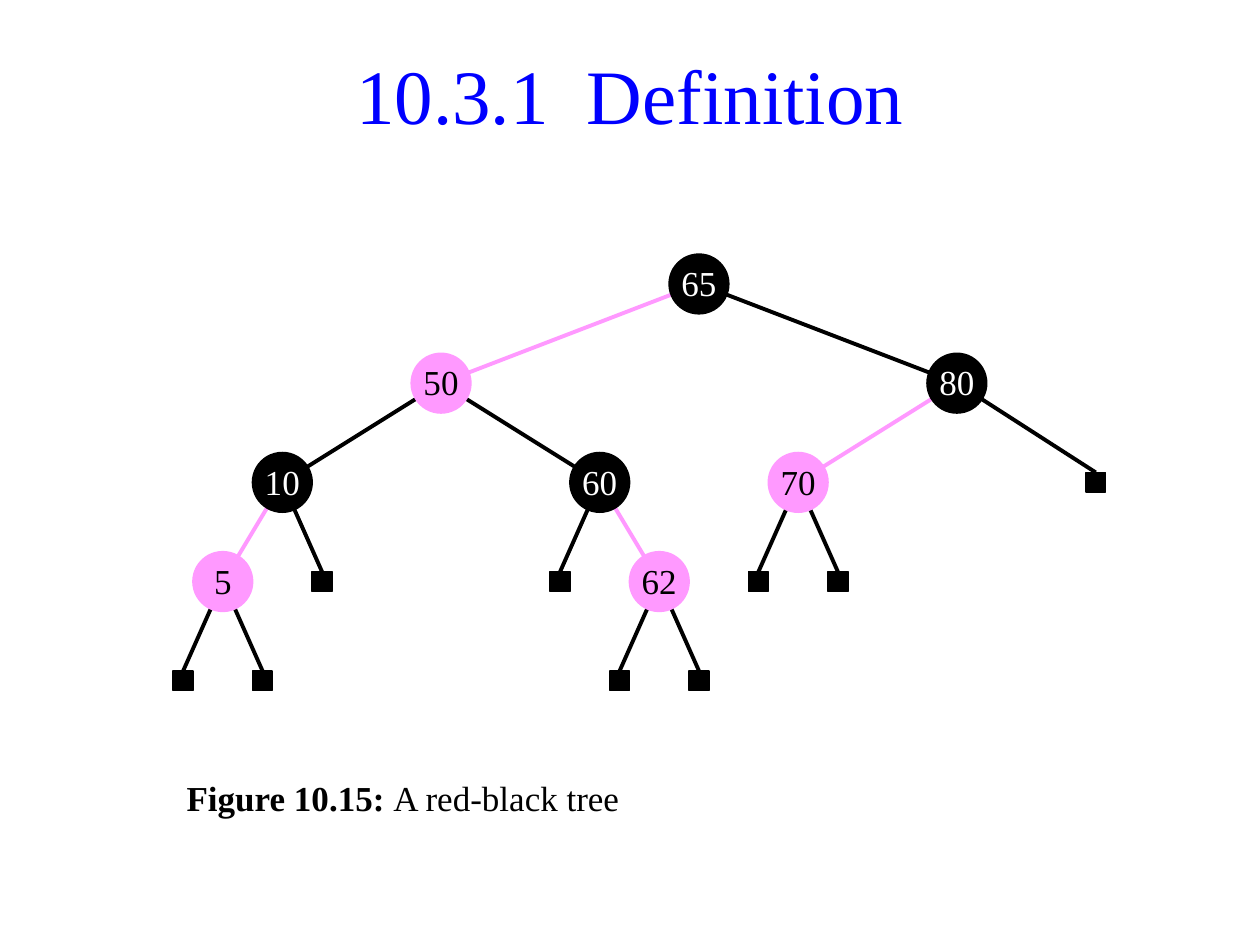
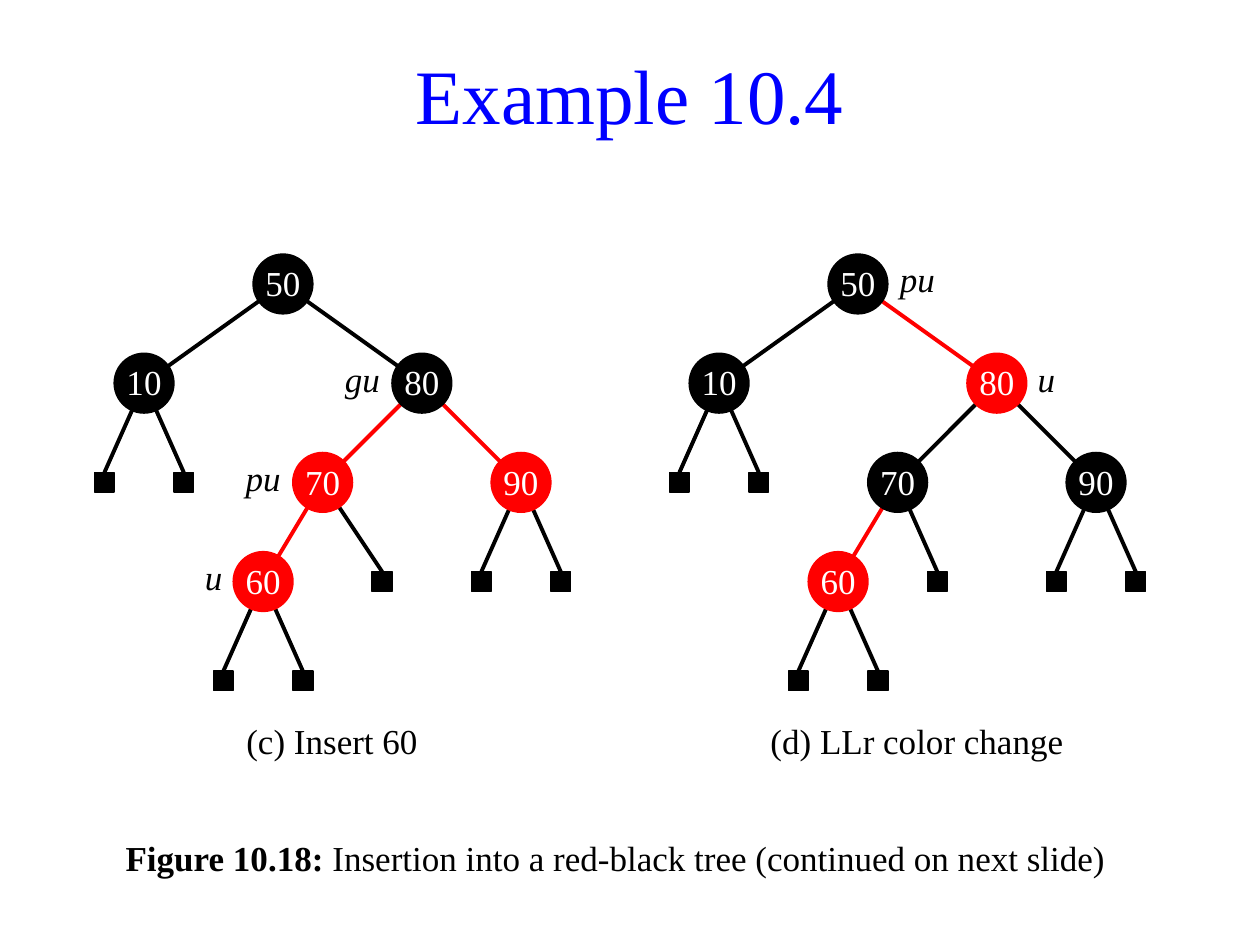
"""Build two slides of red-black trees from nested node data."""
from lxml import etree
from pptx import Presentation
from pptx.dml.color import RGBColor
from pptx.enum.shapes import MSO_CONNECTOR, MSO_SHAPE
from pptx.enum.text import MSO_ANCHOR, MSO_AUTO_SIZE, PP_ALIGN
from pptx.oxml.ns import qn
from pptx.util import Inches, Pt

LINE, OVAL, SQUARE = MSO_CONNECTOR.STRAIGHT, MSO_SHAPE.OVAL, MSO_SHAPE.RECTANGLE
MIDDLE, BOTTOM, CENTER = MSO_ANCHOR.MIDDLE, MSO_ANCHOR.BOTTOM, PP_ALIGN.CENTER
NO_FIT = MSO_AUTO_SIZE.NONE

COLORS = {"title": "0000FF", "black": "000000", "white": "FFFFFF",
          "pink": "FF99FF", "red": "FF0000"}
KEY_COLORS = {"black": "white", "red": "white", "pink": "black"}
FONT = "Times New Roman"
TITLE_SIZE, TEXT_SIZE = 44, 20
EDGE_WIDTH, OUTLINE_WIDTH = 2.25, 1

PIXEL = Inches(1) / 126
TITLE_BOX = (54, 35, 1152, 118)
ROOT_Y = 284
COLUMN = 19.84
ROW = 5 * COLUMN
NODE, LEAF = 3 * COLUMN, COLUMN


def node(key, color, left=None, right=None, spread=(2, 2), label=None):
    """Describe a node; spread counts columns to its left and right child."""
    return {"key": key, "color": color, "label": label,
            "branches": [(-spread[0], left), (spread[1], right)]}


DEFINITION_TREE = node(
    "65", "black",
    node("50", "pink",
         node("10", "black", node("5", "pink"), spread=(3, 2)),
         node("60", "black", None, node("62", "pink"), spread=(2, 3)),
         spread=(8, 8)),
    node("80", "black", node("70", "pink"), spread=(8, 7)),
    spread=(13, 13))

INSERT_TREE = node(
    "50", "black",
    node("10", "black"),
    node("80", "black",
         node("70", "red", node("60", "red", label=("u", "left", 2)),
              spread=(3, 3), label=("pu", "left", 3)),
         node("90", "red"),
         spread=(5, 5), label=("gu", "left", 3)),
    spread=(7, 7))

COLOR_CHANGE_TREE = node(
    "50", "black",
    node("10", "black"),
    node("80", "red",
         node("70", "black", node("60", "red"), spread=(3, 2)),
         node("90", "black"),
         spread=(5, 5), label=("u", "right", 2)),
    spread=(7, 7), label=("pu", "right", 3))

SLIDES = [
    {"title": "10.3.1  Definition",
     "caption": ("Figure 10.15: ", "A red-black tree"),
     "caption_box": (174, 770, 476, 59),
     "trees": [(699, DEFINITION_TREE)],
     "steps": []},
    {"title": "Example 10.4",
     "caption": ("Figure 10.18: ",
                 "Insertion into a red-black tree (continued on next slide)"),
     "caption_box": (113, 830, 1032, 59),
     "trees": [(858, COLOR_CHANGE_TREE), (283, INSERT_TREE)],
     "steps": [("(c) Insert 60", (233, 711, 198, 59)),
               ("(d) LLr color change", (748, 711, 338, 59))]},
]


def emu(*lengths):
    return [round(length * PIXEL) for length in lengths]


def rgb(color):
    return RGBColor.from_string(COLORS[color])


def style(paragraph, color="black", size=TEXT_SIZE, align=CENTER):
    paragraph.alignment = align
    font = paragraph.font
    font.name, font.size = FONT, Pt(size)
    font.color.rgb = rgb(color)
    return font


def set_insets(frame, left, top, right, bottom):
    frame.margin_left, frame.margin_top = Inches(left), Inches(top)
    frame.margin_right, frame.margin_bottom = Inches(right), Inches(bottom)


def place(shape, box):
    shape.left, shape.top, shape.width, shape.height = emu(*box)


def add_mark(slide, kind, x, y, size, color):
    mark = slide.shapes.add_shape(
        kind, *emu(x - size / 2, y - size / 2, size, size))
    mark.shadow.inherit = False
    mark.fill.solid()
    mark.fill.fore_color.rgb = rgb(color)
    mark.line.color.rgb = rgb(color)
    mark.line.width = Pt(OUTLINE_WIDTH)
    return mark


def add_edge(slide, start, end, color):
    edge = slide.shapes.add_connector(LINE, *emu(*start, *end))
    edge.line.color.rgb = rgb(color)
    edge.line.width = Pt(EDGE_WIDTH)
    etree.SubElement(edge._element.spPr, qn("a:effectLst"))


def add_text(slide, text, box):
    frame = slide.shapes.add_textbox(*emu(*box)).text_frame
    frame.word_wrap = True
    frame.vertical_anchor = MIDDLE
    frame.text = text
    style(frame.paragraphs[0])
    return frame


def add_label(slide, x, y, text, side, columns):
    width = columns * COLUMN
    left = x - NODE / 2 - width if side == "left" else x + NODE / 2
    frame = add_text(slide, text, (left, y - NODE / 2, width, NODE))
    set_insets(frame, 0.08, 0, 0.08, 0.08)
    frame.paragraphs[0].font.italic = True


def add_tree(slide, x, y, tree):
    children = [(x + columns * COLUMN, child)
                for columns, child in tree["branches"]]
    child_y = y + ROW
    for child_x, child in children:
        if child:
            add_edge(slide, (x, y), (child_x, child_y), child["color"])
        else:
            add_edge(slide, (x, y), (child_x, child_y - LEAF / 2), "black")
    circle = add_mark(slide, OVAL, x, y, NODE, tree["color"])
    frame = circle.text_frame
    set_insets(frame, 0, 0, 0, 0.01)
    frame.vertical_anchor = BOTTOM
    frame.text = tree["key"]
    style(frame.paragraphs[0], KEY_COLORS[tree["color"]])
    if tree["label"]:
        add_label(slide, x, y, *tree["label"])
    for child_x, child in children:
        if child:
            add_tree(slide, child_x, child_y, child)
        else:
            add_mark(slide, SQUARE, child_x, child_y, LEAF, "black")


def fill_title(slide, text):
    title = slide.shapes.title
    place(title, TITLE_BOX)
    title.text_frame.text = text
    title.text_frame.auto_size = NO_FIT
    title.text_frame.vertical_anchor = MIDDLE
    style(title.text_frame.paragraphs[0], "title", TITLE_SIZE)


def fill_caption(slide, number, wording, box):
    caption = slide.placeholders[1]
    place(caption, box)
    caption.text_frame.auto_size = NO_FIT
    paragraph = caption.text_frame.paragraphs[0]
    properties = paragraph._p.get_or_add_pPr()
    properties.set("marL", "0")
    properties.set("indent", "0")
    etree.SubElement(properties, qn("a:buNone"))
    style(paragraph, align=PP_ALIGN.LEFT)
    for text, bold in ((number, True), (wording, False)):
        run = paragraph.add_run()
        run.text = text
        run.font.bold = bold


def main():
    deck = Presentation()
    deck.slide_width, deck.slide_height = Inches(10), Inches(7.5)
    for content in SLIDES:
        slide = deck.slides.add_slide(deck.slide_layouts[1])
        fill_title(slide, content["title"])
        fill_caption(slide, *content["caption"], content["caption_box"])
        for root_x, tree in content["trees"]:
            add_tree(slide, root_x, ROOT_Y, tree)
        for text, box in content["steps"]:
            add_text(slide, text, box)
    deck.save("out.pptx")


main()
